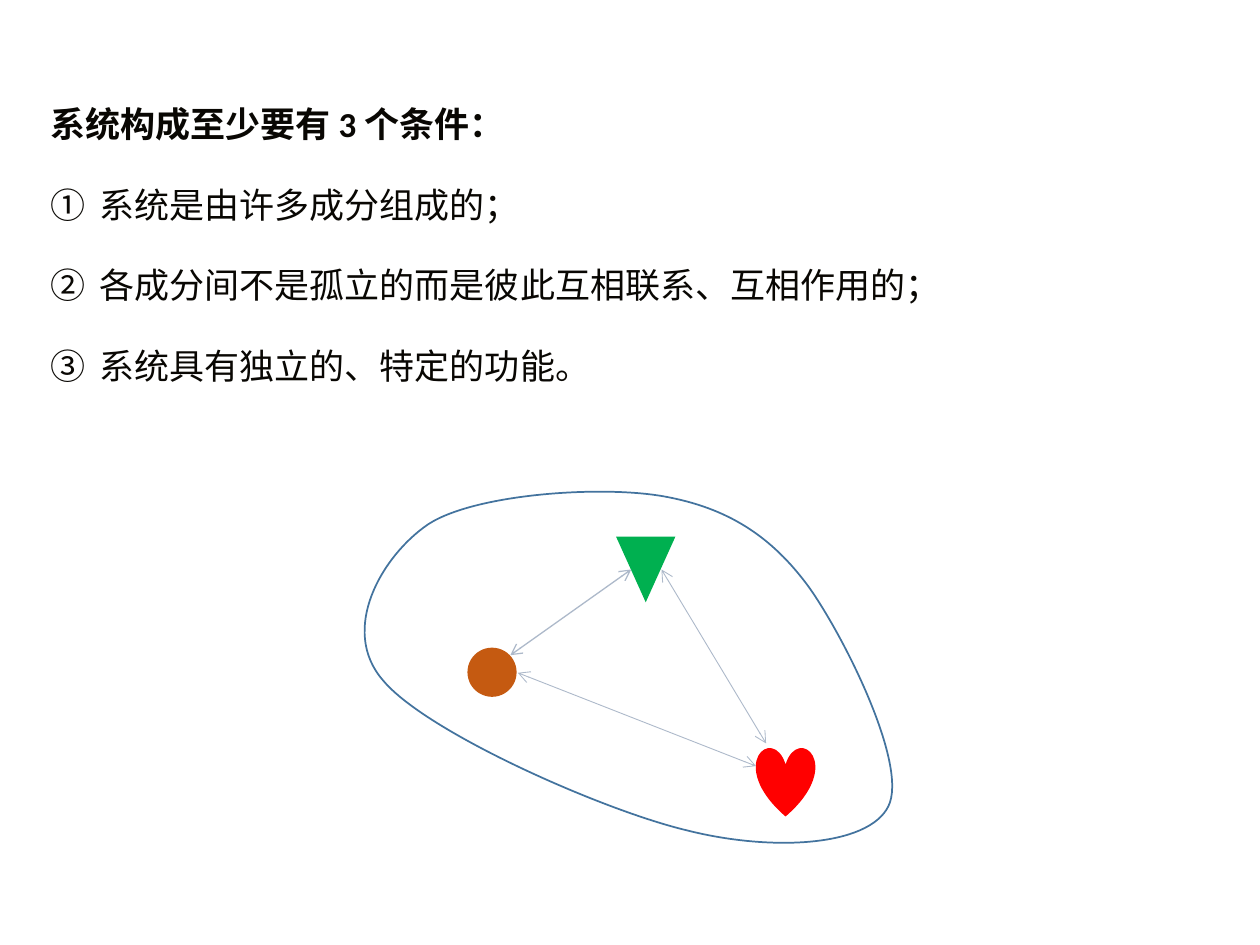
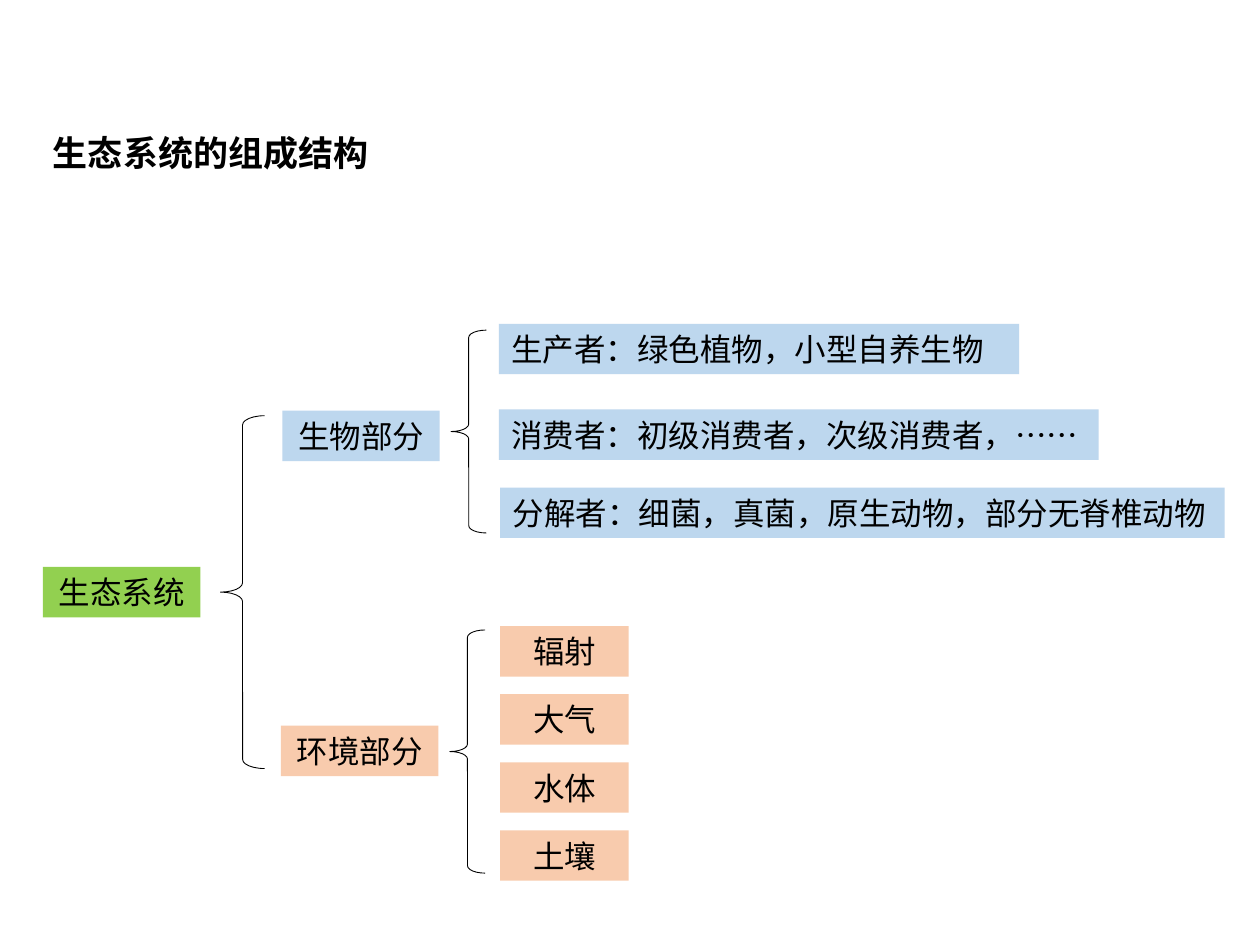
import pptx
import pptx.util
import pptx.dml.color
import pptx.enum.shapes
import pptx.enum.text
import pptx.oxml.ns
import lxml.etree

Inches = pptx.util.Inches
Pt = pptx.util.Pt
qn = pptx.oxml.ns.qn
Shape = pptx.enum.shapes.MSO_SHAPE
Align = pptx.enum.text.PP_ALIGN
FIT = pptx.enum.text.MSO_AUTO_SIZE.SHAPE_TO_FIT_TEXT

BLACK, INK, WHITE = "000000", "090703", "FFFFFF"
GREEN, BLUE, ORANGE = "92D050", "BDD7EE", "F8CBAD"


def paint(colour_format, colour):
    colour_format.rgb = pptx.dml.color.RGBColor.from_string(colour)


def add_shape(page, kind, left, top, width, height, fill=None):
    shape = page.shapes.add_shape(kind, Inches(left), Inches(top), Inches(width), Inches(height))
    shape.shadow.inherit = False
    shape.line.fill.background()
    if fill:
        shape.fill.solid()
        paint(shape.fill.fore_color, fill)
    else:
        shape.fill.background()
    return shape


deck = pptx.Presentation()
deck.slide_width, deck.slide_height = Inches(10), Inches(7.5)

conditions_page = deck.slides.add_slide(deck.slide_layouts[6])
conditions = [
    "系统构成至少要有 3 个条件：",
    "系统是由许多成分组成的；",
    "各成分间不是孤立的而是彼此互相联系、互相作用的；",
    "系统具有独立的、特定的功能。",
]
box = conditions_page.shapes.add_textbox(Inches(0.3), Inches(0.7), Inches(9.45), Inches(2.47))
box.text_frame.word_wrap = True
box.text_frame.auto_size = FIT
box.text_frame.text = "\n".join(conditions)
for number, para in enumerate(box.text_frame.paragraphs):
    hanging = Inches(0.39 if number else 0.38)
    properties = para._p.get_or_add_pPr()
    properties.set("marL", str(hanging))
    properties.set("indent", str(-hanging))
    if number:
        lxml.etree.SubElement(properties, qn("a:buAutoNum"), type="circleNumDbPlain")
        para.level = 1
        para.alignment = Align.JUSTIFY
        para.space_before = Pt(10)
    para.line_spacing = 1.5 if number else 1.2
    para.font.name, para.font.size, para.font.bold = "Calibri", Pt(20), number == 0
    paint(para.font.color, INK)

components = [
    (Shape.OVAL, 3.71, 5.14, 0.39, 0.39, "C55A11"),
    (Shape.HEART, 6, 5.93, 0.47, 0.55, "FF0000"),
    (Shape.FLOWCHART_MERGE, 4.89, 4.26, 0.47, 0.52, "00B050"),
]
for component in components:
    add_shape(conditions_page, *component)

interactions = [
    (4.05, 5.2, 5.01, 4.52, 0.75),
    (5.25, 4.52, 6.08, 5.9, 0.5),
    (4.11, 5.34, 6, 6.08, 0.5),
]
for *ends, weight in interactions:
    arrow = conditions_page.shapes.add_connector(
        pptx.enum.shapes.MSO_CONNECTOR.STRAIGHT, *map(Inches, ends))
    paint(arrow.line.color, "ADB9CA")
    arrow.line.width = Pt(weight)
    properties = arrow._element.spPr
    for end in ("a:headEnd", "a:tailEnd"):
        lxml.etree.SubElement(properties.find(qn("a:ln")), qn(end), type="arrow")
    lxml.etree.SubElement(properties, qn("a:effectLst"))

left, top, right, bottom = 2.89, 3.9, 7.08, 6.69
start = (3.4, 4.16)
curves = [
    ((3.03, 4.41), (2.69, 5), (3.04, 5.4)),
    ((3.38, 5.81), (4.78, 6.43), (5.45, 6.59)),
    ((6.12, 6.76), (6.89, 6.72), (7.05, 6.4)),
    ((7.21, 6.08), (6.71, 5.07), (6.42, 4.66)),
    ((6.12, 4.25), (5.77, 4.03), (5.27, 3.94)),
    ((4.77, 3.85), (3.77, 3.92), start),
]
builder = conditions_page.shapes.build_freeform(Inches(left), Inches(top))
builder.add_line_segments([(Inches(right), Inches(bottom))], close=True)
boundary = builder.convert_to_shape()
outline = boundary._element.spPr.find(".//" + qn("a:path"))
for segment in list(outline):
    outline.remove(segment)
segments = [("a:moveTo", [start])] + [("a:cubicBezTo", curve) for curve in curves]
for tag, points in segments:
    segment = lxml.etree.SubElement(outline, qn(tag))
    for x, y in points:
        lxml.etree.SubElement(segment, qn("a:pt"), x=str(Inches(x - left)), y=str(Inches(y - top)))
lxml.etree.SubElement(outline, qn("a:close"))
boundary.shadow.inherit = False
boundary.fill.background()
paint(boundary.line.color, "43739E")
boundary.line.width = Pt(1)

structure_page = deck.slides.add_slide(deck.slide_layouts[5])
title = structure_page.shapes.title
title.left, title.top = Inches(0.32), Inches(0.83)
title.width, title.height = Inches(5.06), Inches(0.61)
title.text_frame.text = "生态系统的组成结构"
title.text_frame.auto_size = FIT
title.text_frame.vertical_anchor = pptx.enum.text.MSO_ANCHOR.TOP
para = title.text_frame.paragraphs[0]
para.alignment = Align.LEFT
para.line_spacing = 1.5
para.font.name, para.font.size, para.font.bold = "Calibri", Pt(20), True
paint(para.font.color, BLACK)

row_height = 0.4
labels = [
    ("生态系统", 0.34, 4.5, 1.25, GREEN, Align.CENTER),
    ("生物部分", 2.24, 3.26, 1.25, BLUE, Align.CENTER),
    ("环境部分", 2.23, 5.76, 1.25, ORANGE, Align.CENTER),
    ("生产者：绿色植物，小型自养生物", 3.96, 2.57, 4.13, BLUE, Align.JUSTIFY),
    ("消费者：初级消费者，次级消费者，……", 3.96, 3.25, 4.76, BLUE, Align.JUSTIFY),
    ("分解者：细菌，真菌，原生动物，部分无脊椎动物", 3.97, 3.87, 5.75, BLUE, Align.JUSTIFY),
]
for row, factor in enumerate(["辐射", "大气", "水体", "土壤"]):
    labels.append((factor, 3.97, 4.97 + 0.54 * row, 1.02, ORANGE, Align.CENTER))
for text, left, top, width, fill, alignment in labels:
    label = add_shape(structure_page, Shape.RECTANGLE, left, top, width, row_height, fill)
    label.text_frame.word_wrap = True
    label.text_frame.auto_size = FIT
    label.text_frame.text = text
    para = label.text_frame.paragraphs[0]
    para.alignment = alignment
    para.font.name, para.font.size = "Calibri", Pt(18)
    paint(para.font.color, BLACK)

braces = [
    (1.75, 3.3, 0.35, 2.8, None),
    (3.58, 2.62, 0.28, 1.61, None),
    (3.57, 5, 0.28, 1.93, WHITE),
]
for measures in braces:
    brace = add_shape(structure_page, Shape.LEFT_BRACE, *measures)
    brace.adjustments[0] = 0.21
    paint(brace.line.color, BLACK)
    brace.line.width = Pt(0.5)

deck.save("out.pptx")
